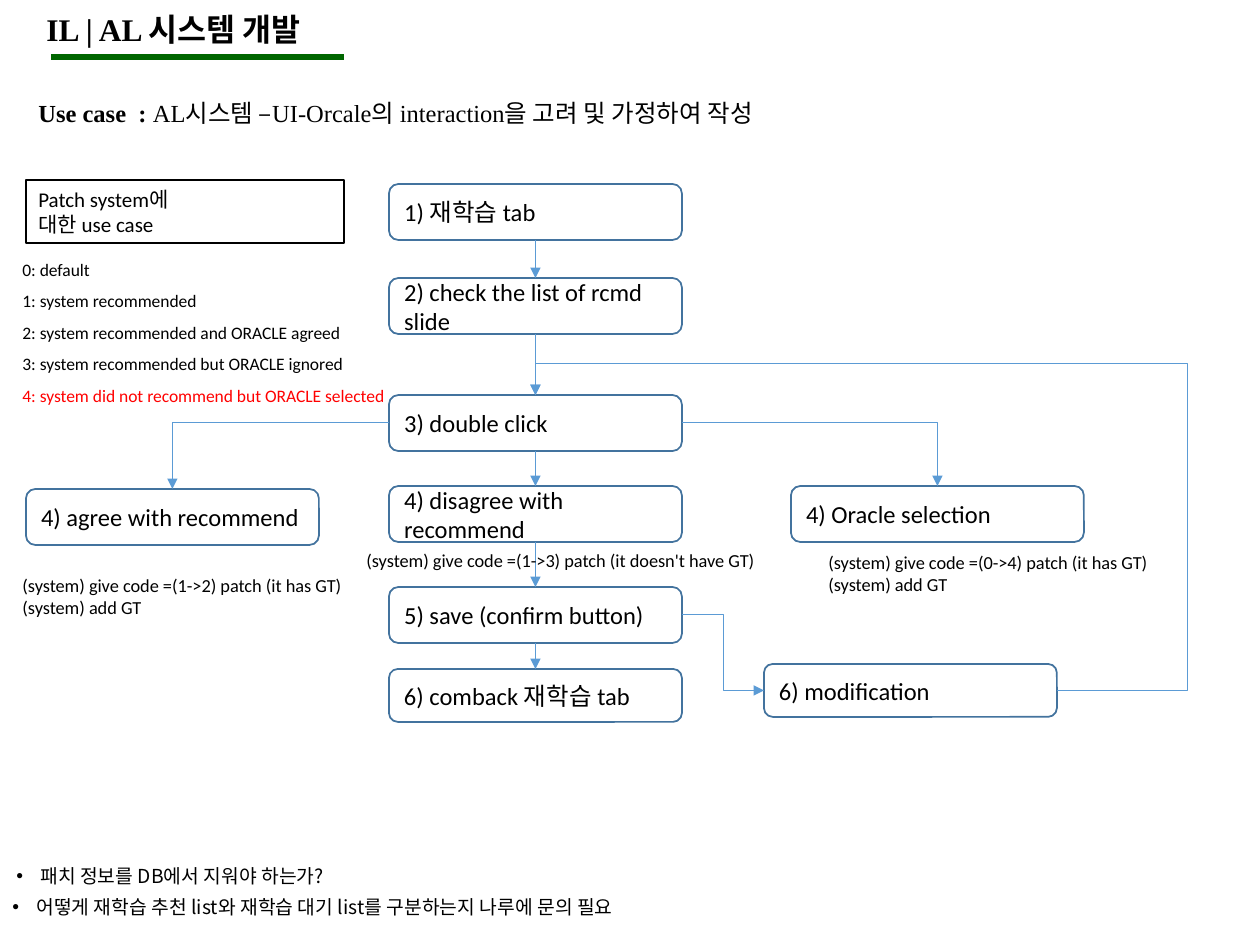
from lxml import etree
from pptx import Presentation
from pptx import util as u
from pptx.dml.color import RGBColor
from pptx.enum import shapes, text
from pptx.oxml.ns import qn

PX = 914400 // 126
BLACK = "000000"
rgb = RGBColor.from_string

prs = Presentation()
prs.slide_width, prs.slide_height = u.Inches(10), u.Inches(7.5)
s = prs.slides.add_slide(prs.slide_layouts[6])


def add_run(p, words, size, font="Calibri", color=BLACK, bold=False):
    r = p.add_run()
    r.text = words
    r.font.size, r.font.name, r.font.bold = u.Pt(size), font, bold
    r.font.color.rgb = rgb(color)


def add_box(x, y, w, h):
    """Add a wrapping text box, in px, that grows with its text."""
    sp = s.shapes.add_textbox(x * PX, y * PX, w * PX, h * PX)
    sp.text_frame.word_wrap = True
    sp.text_frame.auto_size = text.MSO_AUTO_SIZE.SHAPE_TO_FIT_TEXT
    return sp


# Title and heading
p = add_box(34, 4, 877, 50).text_frame.paragraphs[0]
add_run(p, "IL | AL 시스템 개발", 18, "Times New Roman", bold=True)

p = add_box(26, 77, 1172, 57).text_frame.paragraphs[0]
p.line_spacing = 1.5
add_run(p, "Use case  : ", 14, "Times New Roman", bold=True)
add_run(p, "AL시스템 –UI-Orcale의 interaction을 고려 및 가정하여 작성", 14, "Times New Roman")

# Flow steps
steps = {}
for name, x, y, h, label in [
    ("tab", 389, 184, 56, "1) 재학습 tab"),
    ("check", 389, 278, 56, "2) check the list of rcmd slide"),
    ("click", 389, 395, 56, "3) double click"),
    ("disagree", 389, 486, 56, "4) disagree with recommend"),
    ("save", 389, 587, 56, "5) save (confirm button)"),
    ("comeback", 389, 669, 53, "6) comback 재학습 tab"),
    ("agree", 26, 489, 56, "4) agree with recommend"),
    ("select", 791, 486, 56, "4) Oracle selection"),
    ("modify", 764, 664, 53, "6) modification"),
]:
    sp = s.shapes.add_shape(shapes.MSO_SHAPE.ROUNDED_RECTANGLE,
                            x * PX, y * PX, 293 * PX, h * PX)
    sp.shadow.inherit = False
    sp.fill.solid()
    sp.fill.fore_color.rgb = rgb("FFFFFF")
    sp.line.color.rgb = rgb("43739E")
    sp.line.width = u.Pt(1)
    tf = sp.text_frame
    tf.word_wrap = True
    tf.vertical_anchor = text.MSO_ANCHOR.MIDDLE
    p = tf.paragraphs[0]
    p.alignment = text.PP_ALIGN.LEFT
    add_run(p, label, 14)
    steps[name] = sp

# Arrows: start, side, end, side, preset, adjustments
TOP, LEFT, BOTTOM, RIGHT = range(4)
column = ["tab", "check", "click", "disagree", "save", "comeback"]
arrows = [(a, BOTTOM, b, TOP, "line", []) for a, b in zip(column, column[1:])]
arrows += [
    ("click", LEFT, "agree", TOP, "bentConnector2", []),
    ("click", RIGHT, "select", TOP, "bentConnector2", []),
    ("save", RIGHT, "modify", LEFT, "bentConnector3", [50000]),
    ("modify", RIGHT, "click", TOP, "bentConnector4", [-25100, 110700]),
]
for start, side, end, end_side, preset, adjust in arrows:
    kind = shapes.MSO_CONNECTOR.STRAIGHT if preset == "line" else shapes.MSO_CONNECTOR.ELBOW
    c = s.shapes.add_connector(kind, 0, 0, 0, 0)
    c.begin_connect(steps[start], side)
    c.end_connect(steps[end], end_side)
    c.line.color.rgb = rgb("5B9BD5")
    c.line.width = u.Pt(0.5)
    spPr = c._element.spPr
    etree.SubElement(spPr.find(qn("a:ln")), qn("a:tailEnd"), type="triangle")
    etree.SubElement(spPr, qn("a:effectLst"))
    geom = spPr.find(qn("a:prstGeom"))
    geom.set("prst", preset)
    for i, value in enumerate(adjust, 1):
        etree.SubElement(geom.find(qn("a:avLst")), qn("a:gd"),
                         name=f"adj{i}", fmla=f"val {value}")

# Title rule
c = s.shapes.add_connector(shapes.MSO_CONNECTOR.STRAIGHT, 51 * PX, 57 * PX, 344 * PX, 57 * PX)
c.line.color.rgb = rgb("006600")
c.line.width = u.Pt(3)
etree.SubElement(c._element.spPr, qn("a:effectLst"))

# Framed use case label
sp = add_box(26, 180, 318, 63)
sp.line.color.rgb = rgb(BLACK)
sp.line.width = u.Pt(0.75)
p = sp.text_frame.paragraphs[0]
add_run(p, "Patch system에 ", 12)
p.add_line_break()
add_run(p, "대한 use case", 12)

# Code legend and system notes
GT = "(system) add GT"
for x, y, w, h, size, spacing, lines in [
    (10, 242, 630, 169, 10, 1.5, [
        ("0: default", BLACK),
        ("1: system recommended", BLACK),
        ("2: system recommended and ORACLE agreed", BLACK),
        ("3: system recommended but ORACLE ignored", BLACK),
        ("4: system did not recommend but ORACLE selected", "FF0000")]),
    (10, 568, 350, 57, 10.5, 1.0, [
        ("(system) give code =(1->2) patch (it has GT)", BLACK), (GT, BLACK)]),
    (354, 543, 523, 35, 10.5, 1.0, [
        ("(system) give code =(1->3) patch (it doesn't have GT)", BLACK)]),
    (816, 545, 350, 57, 10.5, 1.0, [
        ("(system) give code =(0->4) patch (it has GT)", BLACK), (GT, BLACK)]),
]:
    tf = add_box(x, y, w, h).text_frame
    for i, (line, color) in enumerate(lines):
        p = tf.add_paragraph() if i else tf.paragraphs[0]
        p.line_spacing = spacing
        add_run(p, line, size, color=color)

# Open questions
for x, y, w, question in [
    (4, 858, 630, "패치 정보를 DB에서 지워야 하는가?"),
    (0, 889, 694, "어떻게 재학습 추천 list와 재학습 대기 list를 구분하는지 나루에 문의 필요"),
]:
    p = add_box(x, y, w, 36).text_frame.paragraphs[0]
    pPr = p._p.get_or_add_pPr()
    pPr.set("marL", str(24 * PX))
    pPr.set("indent", str(-24 * PX))
    etree.SubElement(pPr, qn("a:buFont"), typeface="Arial")
    etree.SubElement(pPr, qn("a:buChar"), char="•")
    add_run(p, question, 11, "Noto Sans CJK KR")

prs.save("out.pptx")
